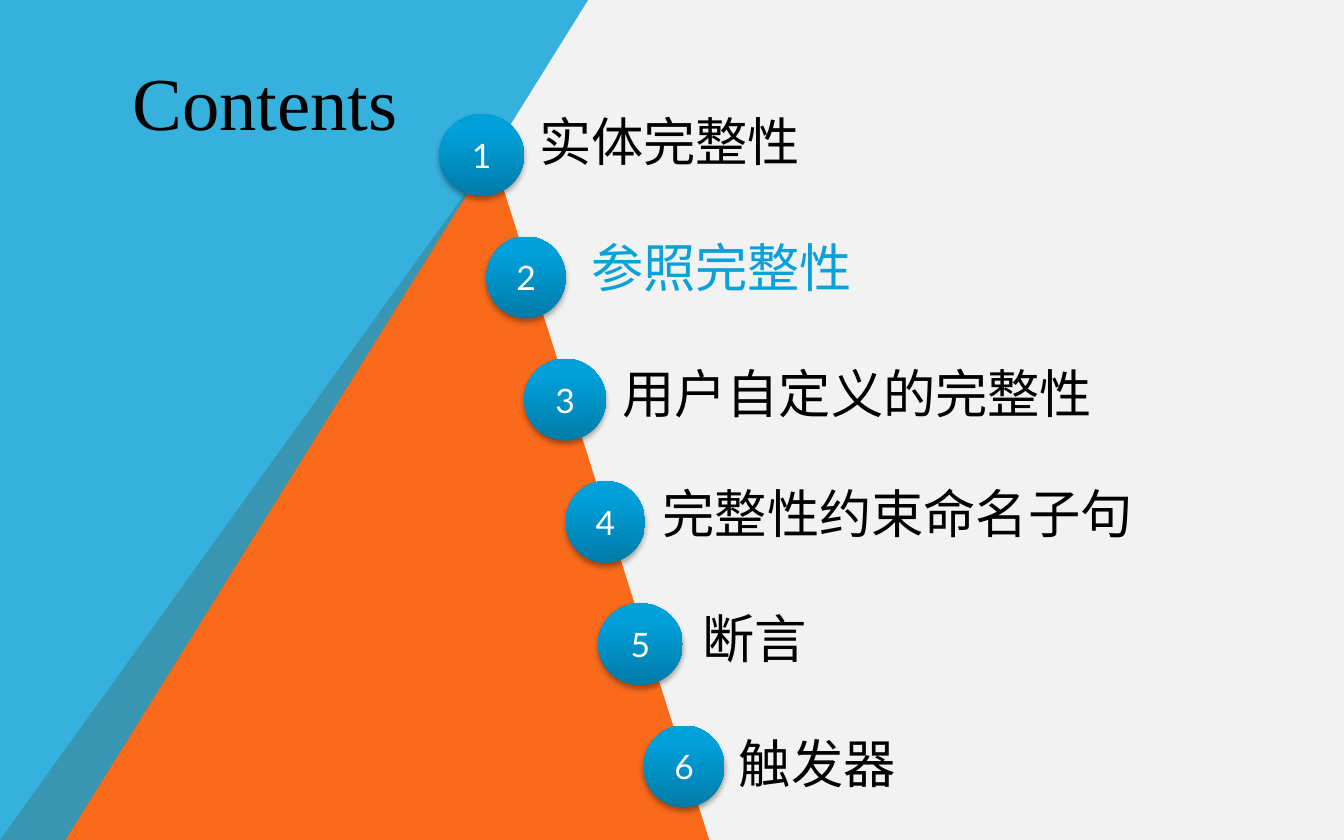
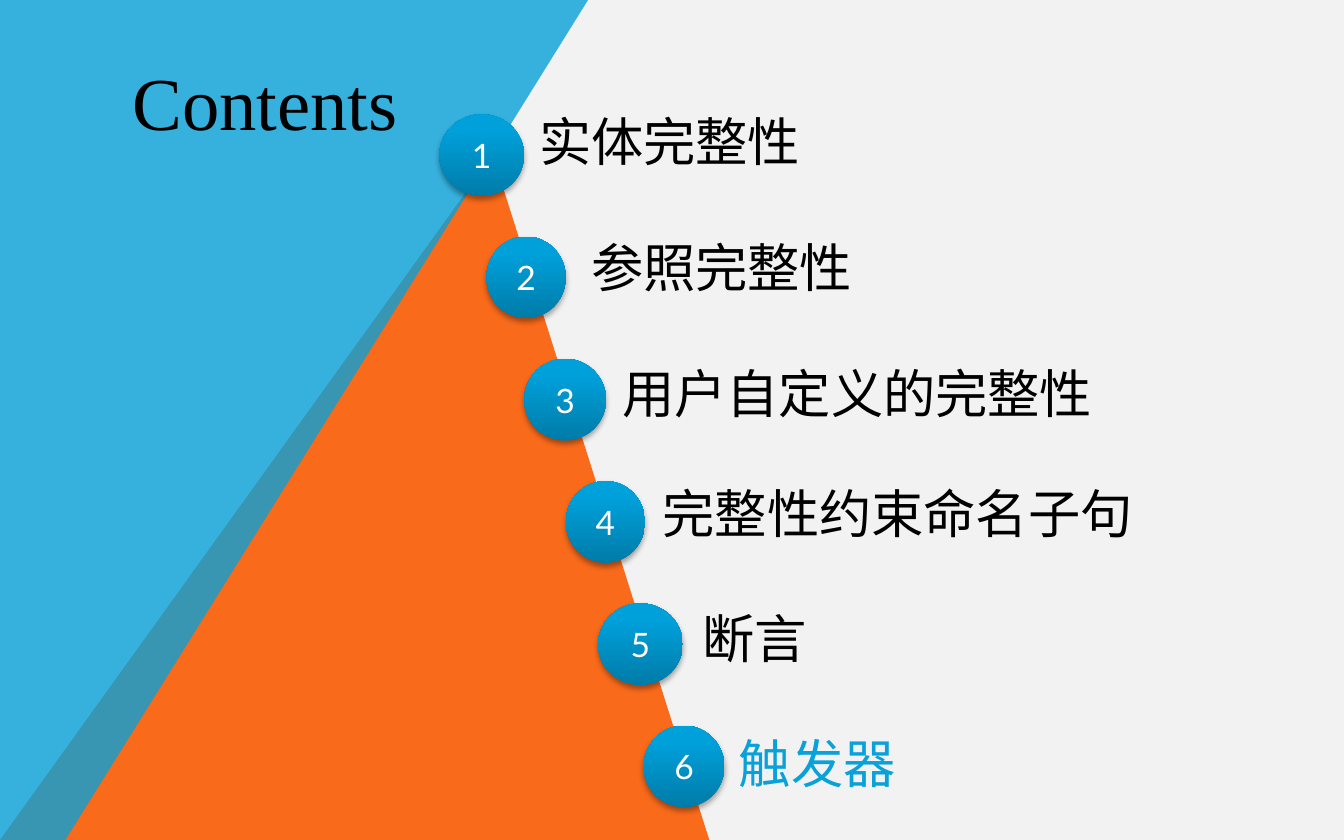
from dataclasses import dataclass
from typing import NamedTuple

from lxml.etree import SubElement
from pptx import Presentation
from pptx.dml.color import RGBColor
from pptx.enum.shapes import MSO_SHAPE
from pptx.enum.text import MSO_ANCHOR, MSO_AUTO_SIZE, PP_ALIGN
from pptx.oxml import parse_xml
from pptx.oxml.ns import nsdecls, qn
from pptx.util import Pt


@dataclass(frozen=True)
class Theme:
    """Colours, fonts and type sizes of the deck."""
    page: str = "F2F2F2"
    orange: str = "F96A1B"
    blue: str = "08A1D9"
    blue_opacity: int = 80
    ink: str = "000000"
    white: str = "FFFFFF"
    ball_stops: tuple = ((0, "007BA8"), (80, "00A0DA"), (100, "00A0DB"))
    shadow_opacity: int = 35
    title_font: str = "Times New Roman"
    label_font: str = "Arial"
    number_font: str = "Lato"
    title_size: int = 40
    label_size: int = 28
    number_size: int = 18


class Box(NamedTuple):
    """A region in points."""
    left: float
    top: float
    width: float
    height: float

    def inner(self, left, top, width, height):
        """Return a box placed relative to this one."""
        return Box(self.left + left, self.top + top, width, height)

    def lengths(self):
        """Return the four values as lengths."""
        return [Pt(value) for value in self]


class Topic(NamedTuple):
    """An agenda entry with its ball and label offsets."""
    name: str
    ball_left: float
    ball_width: float
    label_left: float
    label_top: float


THEME = Theme()
PAGE = Box(0, 0, 720, 450)
TITLE = Box(59.8, 26.6, 164.2, 55.4)
AGENDA = Box(235.4, 54.7, 380, 378)
BALL_TOP, BALL_PITCH, BALL_HEIGHT = 6.5, 65.5, 43.9
LABEL_HEIGHT, GLYPH_WIDTH, LABEL_INSETS = 41.2, 28.3, 14.4
TOPICS = (
    Topic("实体完整性", 0, 45.4, 45.4, 0),
    Topic("参照完整性", 25.2, 42.5, 73.3, 67.7),
    Topic("用户自定义的完整性", 45.4, 43.9, 89.3, 135.4),
    Topic("完整性约束命名子句", 67.7, 42.5, 110.9, 199.5),
    Topic("断言", 85, 45.4, 133.2, 266.4),
    Topic("触发器", 109.5, 43.2, 152.7, 333.4),
)
HIGHLIGHTS = ("参照完整性", "触发器")


def write(shape, text, *, font, size, color, wrap=True, grow=False,
          anchor=MSO_ANCHOR.TOP):
    """Put centred, formatted text into a shape."""
    frame = shape.text_frame
    frame.word_wrap = wrap
    frame.vertical_anchor = anchor
    if grow:
        frame.auto_size = MSO_AUTO_SIZE.SHAPE_TO_FIT_TEXT
    paragraph = frame.paragraphs[0]
    paragraph.alignment = PP_ALIGN.CENTER
    run = paragraph.add_run()
    run.text = text
    run.font.name = font
    run.font.size = Pt(size)
    run.font.color.rgb = RGBColor.from_string(color)


def add_band(slide, corners, color, opacity=100):
    """Draw a flat polygon through the given corners."""
    builder = slide.shapes.build_freeform(*corners[0], scale=Pt(1))
    builder.add_line_segments(corners[1:], close=True)
    band = builder.convert_to_shape()
    band.shadow.inherit = False
    band.line.fill.background()
    band.fill.solid()
    band.fill.fore_color.rgb = RGBColor.from_string(color)
    if opacity < 100:
        tint = band._element.spPr.find(f"{qn('a:solidFill')}/{qn('a:srgbClr')}")
        SubElement(tint, qn("a:alpha"), val=str(opacity * 1000))


def add_backdrop(slide, box):
    """Draw the orange peak and the translucent blue side."""
    left, top, width, height = box
    bottom = top + height
    peak = [(left, bottom), (left + width * 0.367, top + height * 0.184),
            (left + width * 0.528, bottom)]
    side = [(left, top), (left + width * 0.438, top),
            (left + width * 0.048, bottom), (left, bottom)]
    add_band(slide, peak, THEME.orange)
    add_band(slide, side, THEME.blue, THEME.blue_opacity)


def add_ball(slide, box, number):
    """Draw a shaded, numbered ball."""
    ball = slide.shapes.add_shape(MSO_SHAPE.OVAL, *box.lengths())
    ball.shadow.inherit = False
    ball.line.fill.background()
    stops = "".join(
        f'<a:gs pos="{position * 1000}"><a:srgbClr val="{color}"/></a:gs>'
        for position, color in THEME.ball_stops)
    gradient = parse_xml(
        f'<a:gradFill {nsdecls("a")} rotWithShape="1"><a:gsLst>{stops}</a:gsLst>'
        '<a:lin ang="16200000" scaled="0"/></a:gradFill>')
    properties = ball._element.spPr
    properties.find(qn("a:prstGeom")).addnext(gradient)
    properties.find(qn("a:effectLst")).append(parse_xml(
        f'<a:outerShdw {nsdecls("a")} blurRad="{Pt(3.1)}" dist="{Pt(1.8)}" '
        f'dir="5400000" rotWithShape="0"><a:srgbClr val="{THEME.ink}">'
        f'<a:alpha val="{THEME.shadow_opacity * 1000}"/></a:srgbClr></a:outerShdw>'))
    write(ball, str(number), font=THEME.number_font, size=THEME.number_size,
          color=THEME.white, anchor=MSO_ANCHOR.MIDDLE)


def add_title(slide, box, text):
    """Place the slide title."""
    write(slide.shapes.add_textbox(*box.lengths()), text, font=THEME.title_font,
          size=THEME.title_size, color=THEME.ink, grow=True)


def add_agenda(slide, box, highlight):
    """Place the balls and labels down the slope, one topic highlighted."""
    for index, topic in enumerate(TOPICS):
        add_ball(slide, box.inner(topic.ball_left, BALL_TOP + index * BALL_PITCH,
                                  topic.ball_width, BALL_HEIGHT), index + 1)
        label_width = GLYPH_WIDTH * len(topic.name) + LABEL_INSETS
        label_box = box.inner(topic.label_left, topic.label_top,
                              label_width, LABEL_HEIGHT)
        write(slide.shapes.add_textbox(*label_box.lengths()), topic.name,
              font=THEME.label_font, size=THEME.label_size, wrap=False, grow=True,
              color=THEME.blue if topic.name == highlight else THEME.ink)


def add_contents_slide(deck, highlight):
    """Add a contents slide with the current topic highlighted."""
    slide = deck.slides.add_slide(deck.slide_layouts[6])
    add_backdrop(slide, PAGE)
    add_agenda(slide, AGENDA, highlight)
    add_title(slide, TITLE, "Contents")


def main():
    """Build and save the deck."""
    deck = Presentation()
    deck.slide_width, deck.slide_height = Pt(PAGE.width), Pt(PAGE.height)
    page_fill = deck.slide_master.background.fill
    page_fill.solid()
    page_fill.fore_color.rgb = RGBColor.from_string(THEME.page)
    for highlight in HIGHLIGHTS:
        add_contents_slide(deck, highlight)
    deck.save("out.pptx")


if __name__ == "__main__":
    main()
